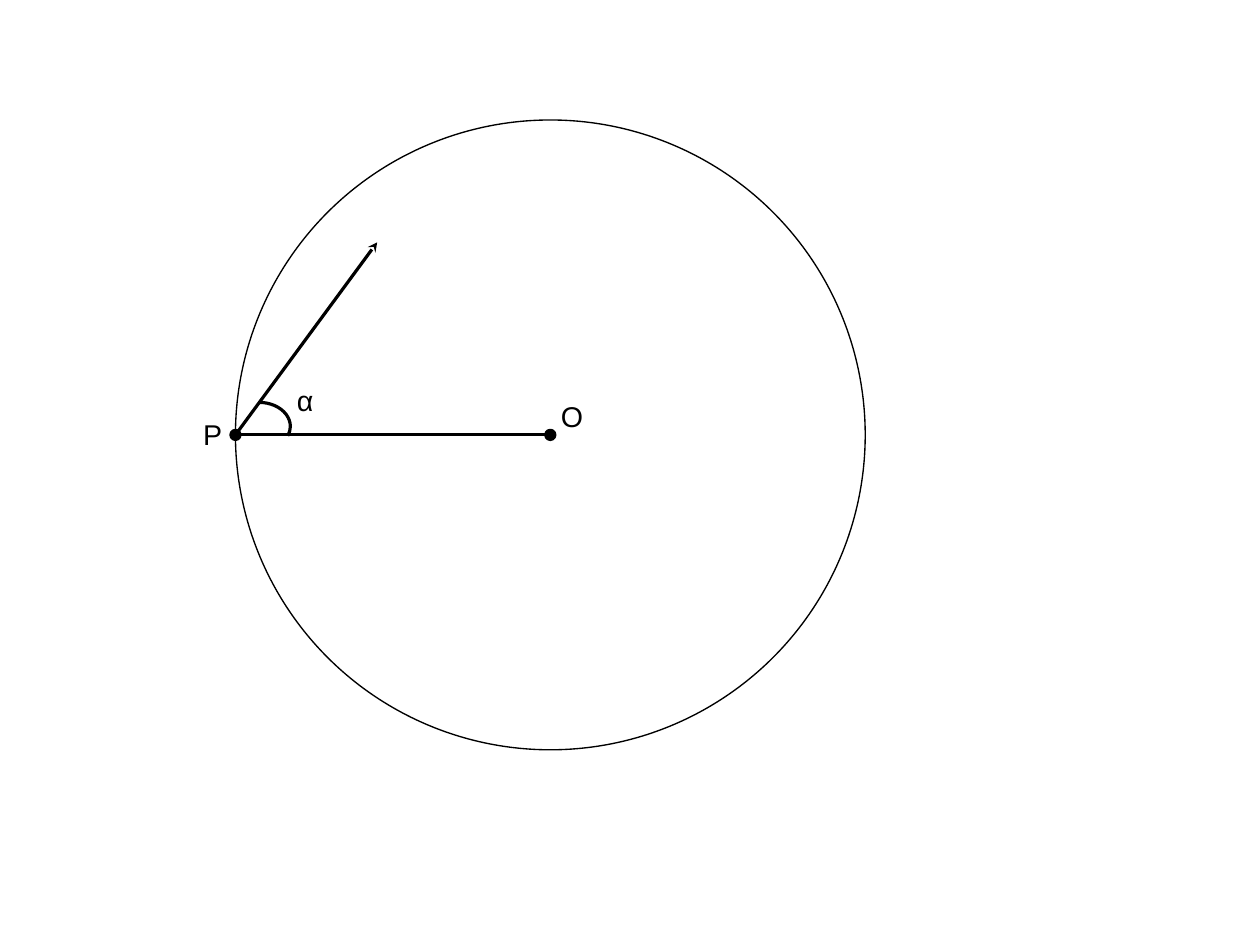
from lxml.etree import SubElement
from pptx import Presentation
from pptx.dml.color import RGBColor
from pptx.enum.shapes import MSO_CONNECTOR, MSO_SHAPE
from pptx.enum.text import MSO_AUTO_SIZE
from pptx.oxml.ns import qn
from pptx.util import Inches, Pt

BLACK = RGBColor(0, 0, 0)
CM_PER_INCH = 2.54
PAGE_WIDTH, PAGE_HEIGHT = 28 / CM_PER_INCH, 21 / CM_PER_INCH
THIN, THICK = 0.85, 2
RADIUS = 5.51 / 2
DOT_RADIUS = 0.04
POINT_P = (2.06, 1.05 + RADIUS)
CENTER = (POINT_P[0] + RADIUS, POINT_P[1])
RAY_TIP = (3.3, 2.12)


def style_line(line, width):
    line.color.rgb = BLACK
    line.width = Pt(width)


def add_circle(page, center, radius, width, filled=False):
    left, top = (Inches(value - radius) for value in center)
    size = Inches(2 * radius)
    circle = page.shapes.add_shape(MSO_SHAPE.OVAL, left, top, size, size)
    circle.shadow.inherit = False
    if filled:
        circle.fill.solid()
        circle.fill.fore_color.rgb = BLACK
    else:
        circle.fill.background()
    style_line(circle.line, width)


def add_segment(page, start, end, arrow=False):
    points = [Inches(value) for value in (*start, *end)]
    segment = page.shapes.add_connector(MSO_CONNECTOR.STRAIGHT, *points)
    style_line(segment.line, THICK)
    properties = segment._element.spPr
    if arrow:
        SubElement(properties.find(qn("a:ln")), qn("a:tailEnd"), type="stealth")
    SubElement(properties, qn("a:effectLst"))


def add_angle_arc(page, left, top, width, height):
    arc = page.shapes.add_shape(
        MSO_SHAPE.ARC, Inches(left), Inches(top), Inches(width), Inches(height))
    arc.shadow.inherit = False
    # From 270 to about 18 degrees; one unit is 5/3 degree
    arc.adjustments[0] = 162
    arc.adjustments[1] = 10.94
    arc.fill.background()
    style_line(arc.line, THICK)


def add_label(page, text, left, top, width, height=0.4):
    box = page.shapes.add_textbox(
        Inches(left), Inches(top), Inches(width), Inches(height))
    frame = box.text_frame
    frame.word_wrap = False
    frame.auto_size = MSO_AUTO_SIZE.SHAPE_TO_FIT_TEXT
    frame.text = text
    font = frame.paragraphs[0].runs[0].font
    font.name = "Arial"
    font.size = Pt(18)
    font.color.rgb = BLACK


def main():
    deck = Presentation()
    deck.slide_width = Inches(PAGE_WIDTH)
    deck.slide_height = Inches(PAGE_HEIGHT)
    page = deck.slides.add_slide(deck.slide_layouts[6])

    # Circle with its centre O and the point P on it
    add_circle(page, CENTER, RADIUS, THIN)
    add_circle(page, CENTER, DOT_RADIUS, THICK, filled=True)
    add_label(page, "O", 4.81, 3.44, 0.4)
    add_circle(page, POINT_P, DOT_RADIUS, THICK, filled=True)
    add_label(page, "P", 1.68, 3.6, 0.37)

    # Radius and ray from P, with the angle between them
    add_segment(page, CENTER, POINT_P)
    add_segment(page, POINT_P, RAY_TIP, arrow=True)
    add_angle_arc(page, 1.99, 3.52, 0.55, 0.42)
    add_label(page, "α", 2.5, 3.3, 0.36, 0.38)

    deck.save("out.pptx")


main()
